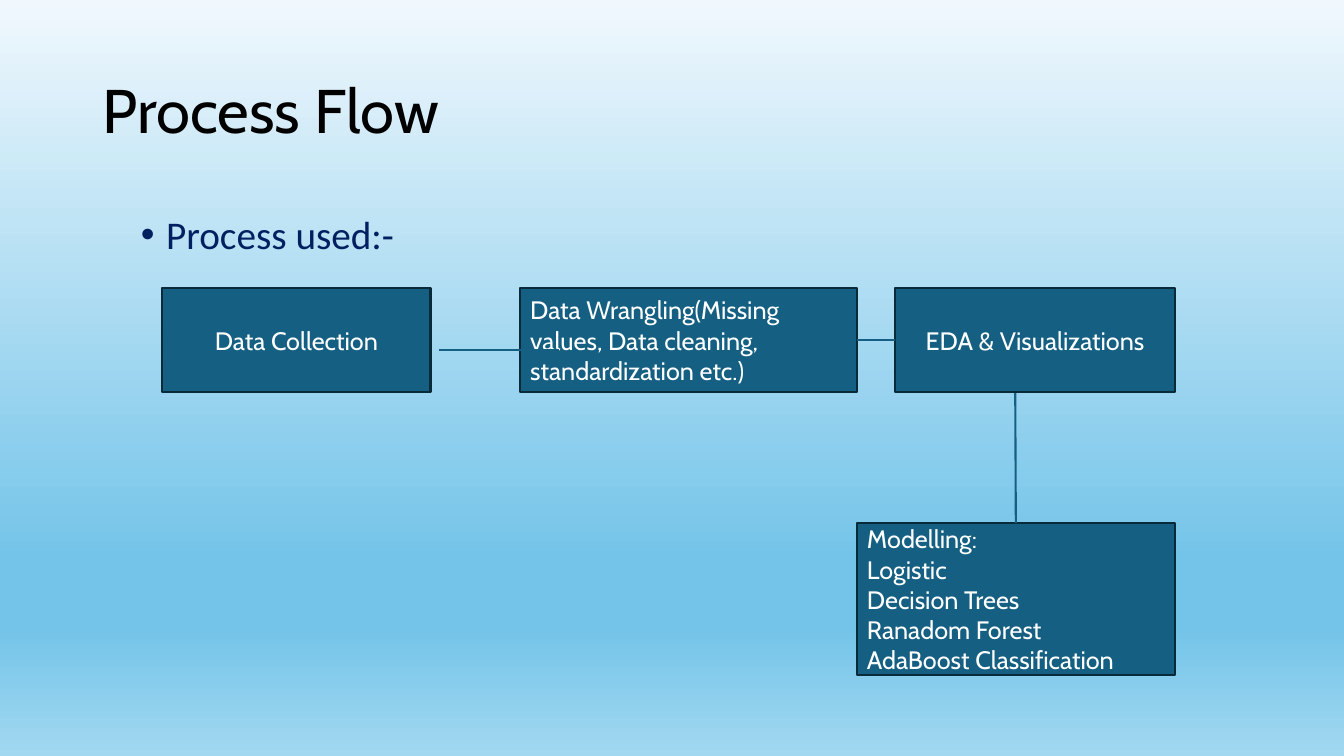
"""Build the process flow slide."""
import pptx
import pptx.util
import pptx.dml.color
import pptx.enum.shapes
import pptx.enum.text
import pptx.oxml
import pptx.oxml.ns
import lxml.etree

RGB = pptx.dml.color.RGBColor.from_string
Pt = pptx.util.Pt
ALIGN = pptx.enum.text.PP_ALIGN
ANCHOR = pptx.enum.text.MSO_ANCHOR
qn = pptx.oxml.ns.qn

THEME = {
    "sky": [(0, "F0F8FD"), (74, "74C4E9"), (83, "74C4E9"), (100, "A2D8F0")],
    "fill": "156082", "edge": "092A39", "line": Pt(1.5),
    "title": {"font": "Cabin", "size": Pt(44), "ink": "000000"},
    "body": {"font": "Calibri", "size": Pt(28), "ink": "002060"},
    "box": {"font": "Cabin", "size": Pt(18), "ink": "FFFFFF"},
}

deck = pptx.Presentation()
deck.slide_width = pptx.util.Inches(13.33)
deck.slide_height = pptx.util.Inches(7.5)
slide = deck.slides.add_slide(deck.slide_layouts[6])


def place(*shares):
    """Turn x, y pairs in percent of the slide into lengths."""
    sides = (deck.slide_width, deck.slide_height)
    return [round(share * sides[i % 2] / 100) for i, share in enumerate(shares)]


def write(shape, lines, style, anchor, para):
    """Fill a shape with styled paragraphs."""
    frame = shape.text_frame
    frame.word_wrap = True
    frame.vertical_anchor = anchor
    frame.text = "\n".join(lines)
    for item in frame.paragraphs:
        for name, value in para.items():
            setattr(item, name, value)
        for run in item.runs:
            font = {"name": style["font"], "size": style["size"]}
            for name, value in font.items():
                setattr(run.font, name, value)
            run.font.color.rgb = RGB(style["ink"])


fill = slide.background.fill
fill.gradient()
fill.gradient_angle = 270
stops = slide.background._cSld.find(".//" + qn("a:gsLst"))
for stop in list(stops):
    stops.remove(stop)
for share, hue in THEME["sky"]:
    stop = lxml.etree.SubElement(stops, qn("a:gs"), pos=str(share * 1000))
    lxml.etree.SubElement(stop, qn("a:srgbClr"), val=hue)

title = slide.shapes.add_textbox(*place(6.9, 5.33, 86.27, 19.33))
write(title, ["Process Flow"], THEME["title"], ANCHOR.MIDDLE, {"line_spacing": 0.9})

body = slide.shapes.add_textbox(*place(9.75, 27.87, 78.77, 66.8))
write(body, ["Process used:-"], THEME["body"], ANCHOR.TOP,
      {"line_spacing": 0.9, "space_before": Pt(10)})
props = body.text_frame.paragraphs[0]._p.get_or_add_pPr()
dent = pptx.util.Inches(0.25)
props.set("marL", str(dent))
props.set("indent", str(-dent))
lxml.etree.SubElement(props, qn("a:buFont"), typeface="Arial")
lxml.etree.SubElement(props, qn("a:buChar"), char="•")

TOP, TALL = 38.13, 13.73
steps = {
    "collect": ((12.08, TOP, 19.95, TALL), ALIGN.CENTER, ["Data Collection"]),
    "wrangle": ((38.71, TOP, 25.06, TALL), ALIGN.LEFT,
                ["Data Wrangling(Missing values, Data cleaning, standardization etc.)"]),
    "explore": ((66.62, TOP, 20.78, TALL), ALIGN.CENTER, ["EDA & Visualizations"]),
    "model": ((63.77, 69.2, 23.63, 20.13), ALIGN.LEFT,
              ["Modelling:", "Logistic", "Decision Trees", "Ranadom Forest",
               "AdaBoost Classification"]),
}
boxes = {}
for name, (area, align, lines) in steps.items():
    box = slide.shapes.add_shape(pptx.enum.shapes.MSO_SHAPE.RECTANGLE, *place(*area))
    box.shadow.inherit = False
    box.fill.solid()
    box.fill.fore_color.rgb = RGB(THEME["fill"])
    box.line.color.rgb = RGB(THEME["edge"])
    box.line.width = THEME["line"]
    write(box, lines, THEME["box"], ANCHOR.MIDDLE, {"alignment": align})
    boxes[name] = box

links = [
    ((32.63, 46.27, 41.56, 46.27), None, None),
    ((63.77, 45, 66.62, 45), ("wrangle", 3), ("explore", 1)),
    ((75.54, 69.2, 75.54, 52), ("model", 0), None),
]
for ends, start, stop in links:
    link = slide.shapes.add_connector(
        pptx.enum.shapes.MSO_CONNECTOR.STRAIGHT, *place(*ends))
    link.line.color.rgb = RGB(THEME["fill"])
    link.line.width = THEME["line"]
    lxml.etree.SubElement(link._element.spPr, qn("a:effectLst"))
    if start:
        link.begin_connect(boxes[start[0]], start[1])
    if stop:
        link.end_connect(boxes[stop[0]], stop[1])

deck.save("out.pptx")
